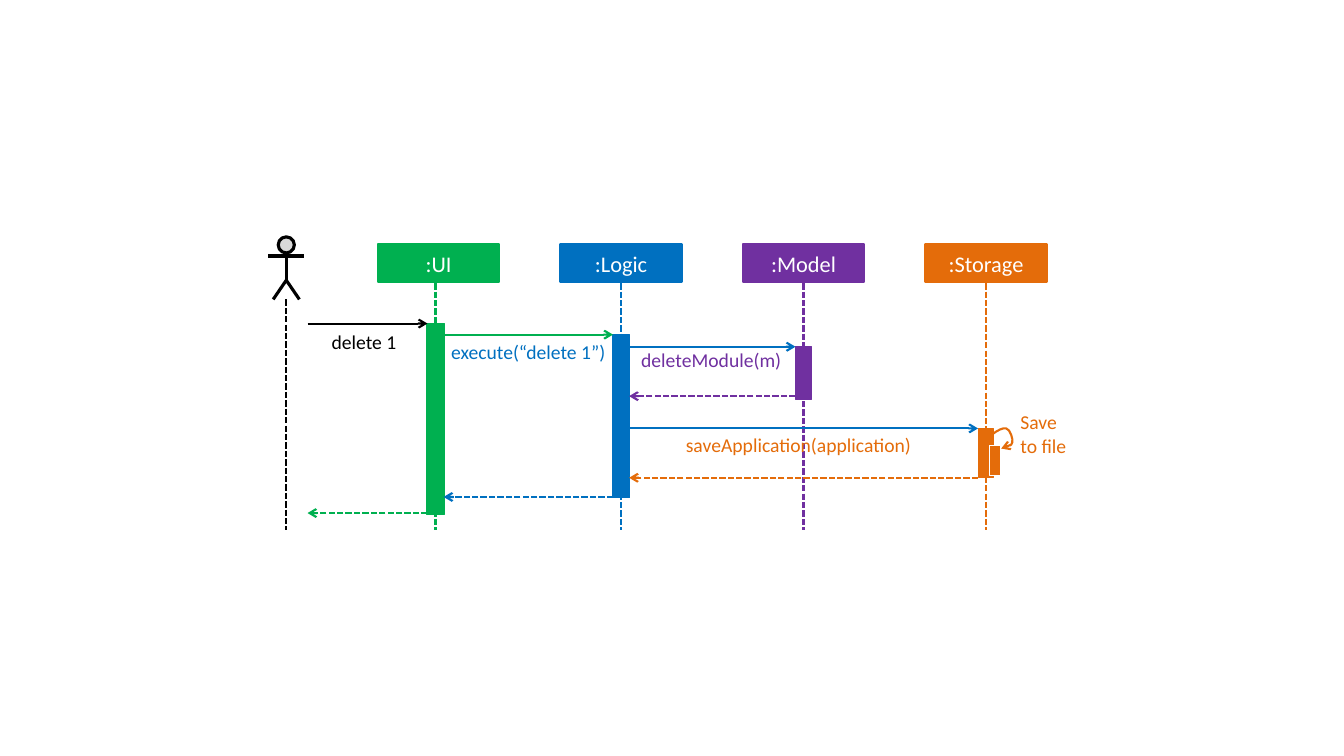
from lxml import etree
from pptx import Presentation
from pptx.dml.color import RGBColor
from pptx.enum.dml import MSO_LINE
from pptx.enum.shapes import MSO_CONNECTOR, MSO_SHAPE
from pptx.enum.text import MSO_ANCHOR, MSO_AUTO_SIZE, PP_ALIGN
from pptx.oxml.ns import qn
from pptx.util import Inches, Pt

STRAIGHT = MSO_CONNECTOR.STRAIGHT
RECTANGLE, CIRCLE = MSO_SHAPE.RECTANGLE, MSO_SHAPE.FLOWCHART_CONNECTOR
DASHED = MSO_LINE.SQUARE_DOT
MIDDLE, GROW = MSO_ANCHOR.MIDDLE, MSO_AUTO_SIZE.SHAPE_TO_FIT_TEXT
CENTER, LEFT = PP_ALIGN.CENTER, PP_ALIGN.LEFT

BLACK, WHITE, GREY = "000000", "FFFFFF", "D9D9D9"
GREEN, BLUE, PURPLE, ORANGE = "00B050", "0070C0", "7030A0", "E46C0A"

# Grid: equal columns for the components, shared rows, in inches
COLUMN, FIRST_HEAD = 1.81, 3.75
HEAD_TOP, HEAD_WIDTH, HEAD_HEIGHT = 2.42, 1.2, 0.38
LIFELINE_TOP, LIFELINE_END = 2.81, 5.26
ACTOR_AXIS, ACTOR_REACH, BAR_REACH = 2.84, 0.21, 0.08

HEAD_FRAME = {"vertical_anchor": MIDDLE, "word_wrap": True}
CAPTION_FRAME = {"margin_left": 0, "margin_right": 0, "margin_top": 0,
                 "margin_bottom": 0, "word_wrap": True, "auto_size": GROW}


def paint(shape, line, width, fill=None, dash=None, arrow=None):
    """Set outline, optional fill, dash and arrowhead (a:headEnd or a:tailEnd)."""
    shape.line.color.rgb = RGBColor.from_string(line)
    shape.line.width = Pt(width)
    if dash:
        shape.line.dash_style = dash
    if fill:
        shape.fill.solid()
        shape.fill.fore_color.rgb = RGBColor.from_string(fill)
    properties = shape._element.spPr
    if arrow:
        etree.SubElement(properties.find(qn("a:ln")), qn(arrow), type="arrow")
    etree.SubElement(properties, qn("a:effectLst"))


def write(shape, words, size, color, align, frame_format):
    """Put formatted words into a shape."""
    frame = shape.text_frame
    for name, value in frame_format.items():
        setattr(frame, name, value)
    paragraph = frame.paragraphs[0]
    paragraph.text, paragraph.alignment = words, align
    for run in paragraph.runs:
        for name, value in {"name": "Calibri", "size": Pt(size)}.items():
            setattr(run.font, name, value)
        run.font.color.rgb = RGBColor.from_string(color)


deck = Presentation()
deck.slide_width, deck.slide_height = Inches(13.33), Inches(7.5)
slide = deck.slides.add_slide(deck.slide_layouts[6])
shapes = slide.shapes

# name, colour, axis, bar width, call row, reply row, bar end
components = [
    (":UI", GREEN, 4.32, 0.17, 3.21, 5.09, 5.10),
    (":Logic", BLUE, 6.16, 0.17, 3.32, 4.93, 4.94),
    (":Model", PURPLE, 7.97, 0.16, 3.44, 3.93, 3.96),
    (":Storage", ORANGE, 9.78, 0.14, 4.25, 4.74, 4.74),
]

# Component heads, lifelines and activation bars
for column, (name, color, axis, bar_width, call, reply, bar_end) in enumerate(components):
    head = shapes.add_shape(RECTANGLE, Inches(FIRST_HEAD + column * COLUMN), Inches(HEAD_TOP),
                            Inches(HEAD_WIDTH), Inches(HEAD_HEIGHT))
    paint(head, color, 1.5, color)
    write(head, name, 16, WHITE, CENTER, HEAD_FRAME)
    lifeline = shapes.add_connector(STRAIGHT, Inches(axis), Inches(LIFELINE_TOP),
                                    Inches(axis), Inches(LIFELINE_END))
    paint(lifeline, color, 1.5, dash=DASHED)
    bar = shapes.add_shape(RECTANGLE, Inches(axis - bar_width / 2), Inches(call),
                           Inches(bar_width), Inches(bar_end - call))
    paint(bar, color, 0.75, color)

# Actor: head, body, arms, legs and lifeline
face = shapes.add_shape(CIRCLE, Inches(ACTOR_AXIS - 0.08), Inches(2.35),
                        Inches(0.16), Inches(0.16))
paint(face, BLACK, 2.25, GREY)
for left, top, right, bottom, width, dash in [
    (ACTOR_AXIS, 2.5, ACTOR_AXIS, 2.78, 2.25, None),
    (ACTOR_AXIS - 0.18, 2.54, ACTOR_AXIS + 0.18, 2.54, 2.25, None),
    (ACTOR_AXIS, 2.97, ACTOR_AXIS, LIFELINE_END, 1.5, DASHED),
]:
    limb = shapes.add_connector(STRAIGHT, Inches(left), Inches(top), Inches(right), Inches(bottom))
    paint(limb, BLACK, width, dash=dash)
legs_path = shapes.build_freeform(Inches(ACTOR_AXIS - 0.13), Inches(2.97))
legs_path.add_line_segments([(Inches(ACTOR_AXIS), Inches(2.78)),
                             (Inches(ACTOR_AXIS + 0.13), Inches(2.97))], close=False)
legs = legs_path.convert_to_shape()
legs.fill.background()
paint(legs, BLACK, 2.25)

# Each component is called from its caller's edge and replies to it
actor_edge = (BLACK, ACTOR_AXIS + ACTOR_REACH)
ui_edge, logic_edge = [(color, axis + BAR_REACH) for _, color, axis, *_ in components[:2]]
callers = [actor_edge, ui_edge, logic_edge, logic_edge]
for (_, color, axis, _, call, reply, _), (caller_color, near) in zip(components, callers):
    far = axis - BAR_REACH
    for start, end, row, ink, dash in [(near, far, call, caller_color, None),
                                       (far, near, reply, color, DASHED)]:
        message = shapes.add_connector(STRAIGHT, Inches(start), Inches(row),
                                       Inches(end), Inches(row))
        paint(message, ink, 1.5, dash=dash, arrow="a:tailEnd")

# Storage calls itself along a curve
(start_x, start_y), *bends = [
    (Inches(x), Inches(y)) for x, y in [
        (9.93, 4.45), (9.98, 4.44), (10.03, 4.42), (10.04, 4.39), (10.05, 4.36),
        (10.02, 4.26), (9.98, 4.25), (9.95, 4.24), (9.89, 4.27), (9.84, 4.31)]]
loop_path = shapes.build_freeform(start_x, start_y)
loop_path.add_line_segments(bends, close=False)
self_call = loop_path.convert_to_shape()
self_call.fill.background()
paint(self_call, ORANGE, 1.5, arrow="a:headEnd")
segments = list(self_call._element.iter(qn("a:lnTo")))
outline = segments[0].getparent()
for first in range(0, len(segments), 3):
    curve = etree.SubElement(outline, qn("a:cubicBezTo"))
    for segment in segments[first:first + 3]:
        curve.append(segment[0])
        outline.remove(segment)
inner_bar = shapes.add_shape(RECTANGLE, Inches(9.81), Inches(4.42), Inches(0.11), Inches(0.3))
paint(inner_bar, WHITE, 0.75, ORANGE)

# Message captions
for words, color, left, top, width, height, align in [
    ("delete 1", BLACK, 3.14, 3.27, 0.94, 0.24, CENTER),
    ("execute(“delete 1”)", BLUE, 4.46, 3.37, 1.56, 0.24, CENTER),
    ("deleteModule(m)", PURPLE, 6.32, 3.45, 1.47, 0.24, CENTER),
    ("saveApplication(application)", ORANGE, 6.57, 4.29, 2.7, 0.24, CENTER),
    ("Save \vto file", ORANGE, 10.12, 4.07, 0.59, 0.47, LEFT),
]:
    caption = shapes.add_textbox(Inches(left), Inches(top), Inches(width), Inches(height))
    write(caption, words, 14, color, align, CAPTION_FRAME)

deck.save("out.pptx")
